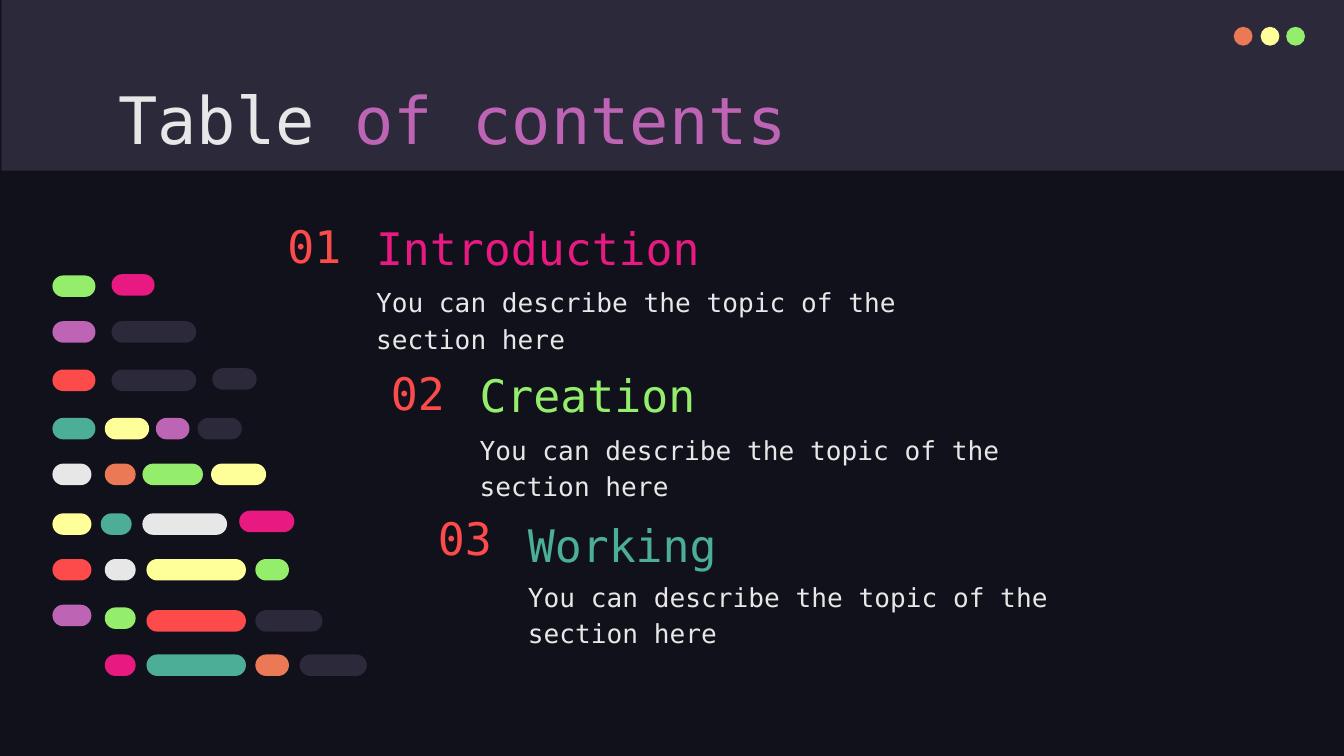
"""Build a dark code-themed table of contents slide."""
import pptx
import pptx.dml.color
import pptx.enum.shapes
import pptx.enum.text
import pptx.util

Inches = pptx.util.Inches
RGBColor = pptx.dml.color.RGBColor
Shape = pptx.enum.shapes.MSO_SHAPE
Anchor = pptx.enum.text.MSO_ANCHOR

FONT = "DejaVu Sans Mono"
NIGHT = RGBColor(0x10, 0x11, 0x1A)
SLATE = RGBColor(0x2C, 0x29, 0x3A)
WHITE = RGBColor(0xE7, 0xE7, 0xE7)
PURPLE = RGBColor(0xBD, 0x64, 0xB5)
RED = RGBColor(0xFD, 0x4A, 0x4A)
PINK = RGBColor(0xE8, 0x1A, 0x81)
GREEN = RGBColor(0x94, 0xEE, 0x6B)
TEAL = RGBColor(0x4C, 0xAE, 0x97)
ORANGE = RGBColor(0xEC, 0x79, 0x55)
YELLOW = RGBColor(0xFF, 0xFF, 0x99)


def write(shape, text, *, size, color, anchor=Anchor.TOP, spacing=1.0):
    frame = shape.text_frame
    frame.word_wrap = True
    frame.auto_size = pptx.enum.text.MSO_AUTO_SIZE.NONE
    frame.vertical_anchor = anchor
    frame.margin_left = frame.margin_right = Inches(0.1)
    frame.margin_top = frame.margin_bottom = Inches(0.1)
    paragraph = frame.paragraphs[0]
    paragraph.alignment = pptx.enum.text.PP_ALIGN.LEFT
    paragraph.line_spacing = spacing
    paragraph.space_before = pptx.util.Pt(0)
    run = paragraph.add_run()
    run.text = text
    run.font.name = FONT
    run.font.size = pptx.util.Pt(size)
    run.font.color.rgb = color


def draw(shapes, kind, box, color):
    shape = shapes.add_shape(kind, *map(Inches, box))
    shape.shadow.inherit = False
    shape.fill.solid()
    shape.fill.fore_color.rgb = color
    shape.line.fill.background()
    return shape


presentation = pptx.Presentation()
presentation.slide_width = Inches(10)
presentation.slide_height = Inches(10 * 9 / 16)
slide = presentation.slides.add_slide(presentation.slide_layouts[5])
slide.background.fill.solid()
slide.background.fill.fore_color.rgb = NIGHT

title = slide.shapes.title
title.left, title.top = Inches(0.78), Inches(0.49)
title.width, title.height = Inches(8.43), Inches(0.63)
write(title, "Table ", size=35, color=WHITE)
write(title, "of contents", size=35, color=PURPLE)

header = draw(slide.shapes, Shape.RECTANGLE, (0.01, 0, 10, 1.27), SLATE)
title.element.addprevious(header.element)

window_buttons = slide.shapes.add_group_shape()
for left, color in [(9.18, ORANGE), (9.38, YELLOW), (9.57, GREEN)]:
    draw(window_buttons.shapes, Shape.OVAL, (left, 0.2, 0.14, 0.14), color)

sections = [
    ("01", "Introduction", PINK, 2.7, 1.61, 2.04, 0.43, 2.0),
    ("02", "Creation", GREEN, 3.47, 2.71, 2.81, 0.43, 3.1),
    ("03", "Working", TEAL, 3.83, 3.82, 3.16, 0.36, 4.19),
]
for number, heading, color, left, top, number_left, number_height, body_top in sections:
    body_box = slide.shapes.add_textbox(Inches(left), Inches(body_top), Inches(4.6), Inches(0.63))
    write(body_box, "You can describe the topic of the section here",
          size=14, color=WHITE, spacing=1.15)
    number_box = slide.shapes.add_textbox(
        Inches(number_left), Inches(top), Inches(0.66), Inches(number_height))
    write(number_box, number, size=24, color=RED, anchor=Anchor.MIDDLE)
    heading_box = slide.shapes.add_textbox(Inches(left), Inches(top), Inches(4.6), Inches(0.53))
    write(heading_box, heading, size=24, color=color, anchor=Anchor.BOTTOM, spacing=1.15)

code_pills = [
    (0.39, 2.05, 0.32, GREEN), (0.83, 2.04, 0.32, PINK),
    (0.39, 2.39, 0.32, PURPLE), (0.83, 2.39, 0.63, SLATE),
    (0.39, 2.75, 0.32, RED), (0.83, 2.75, 0.63, SLATE), (1.58, 2.74, 0.33, SLATE),
    (0.39, 3.11, 0.32, TEAL), (0.78, 3.11, 0.33, YELLOW),
    (1.16, 3.11, 0.25, PURPLE), (1.47, 3.11, 0.33, SLATE),
    (0.39, 3.45, 0.29, WHITE), (0.78, 3.45, 0.23, ORANGE),
    (1.06, 3.45, 0.45, GREEN), (1.57, 3.45, 0.41, YELLOW),
    (0.39, 3.82, 0.29, YELLOW), (0.75, 3.82, 0.23, TEAL),
    (1.06, 3.82, 0.63, WHITE), (1.78, 3.8, 0.41, PINK),
    (0.39, 4.16, 0.29, RED), (0.78, 4.16, 0.23, WHITE),
    (1.09, 4.16, 0.74, YELLOW), (1.9, 4.16, 0.25, GREEN),
    (0.39, 4.5, 0.29, PURPLE), (0.78, 4.52, 0.23, GREEN),
    (1.09, 4.54, 0.74, RED), (1.9, 4.54, 0.5, SLATE),
    (0.78, 4.87, 0.23, PINK), (1.09, 4.87, 0.74, TEAL),
    (1.9, 4.87, 0.25, ORANGE), (2.23, 4.87, 0.5, SLATE),
]
code_lines = slide.shapes.add_group_shape()
for left, top, width, color in code_pills:
    pill = draw(code_lines.shapes, Shape.ROUNDED_RECTANGLE, (left, top, width, 0.16), color)
    pill.adjustments[0] = 0.5

presentation.save("out.pptx")
